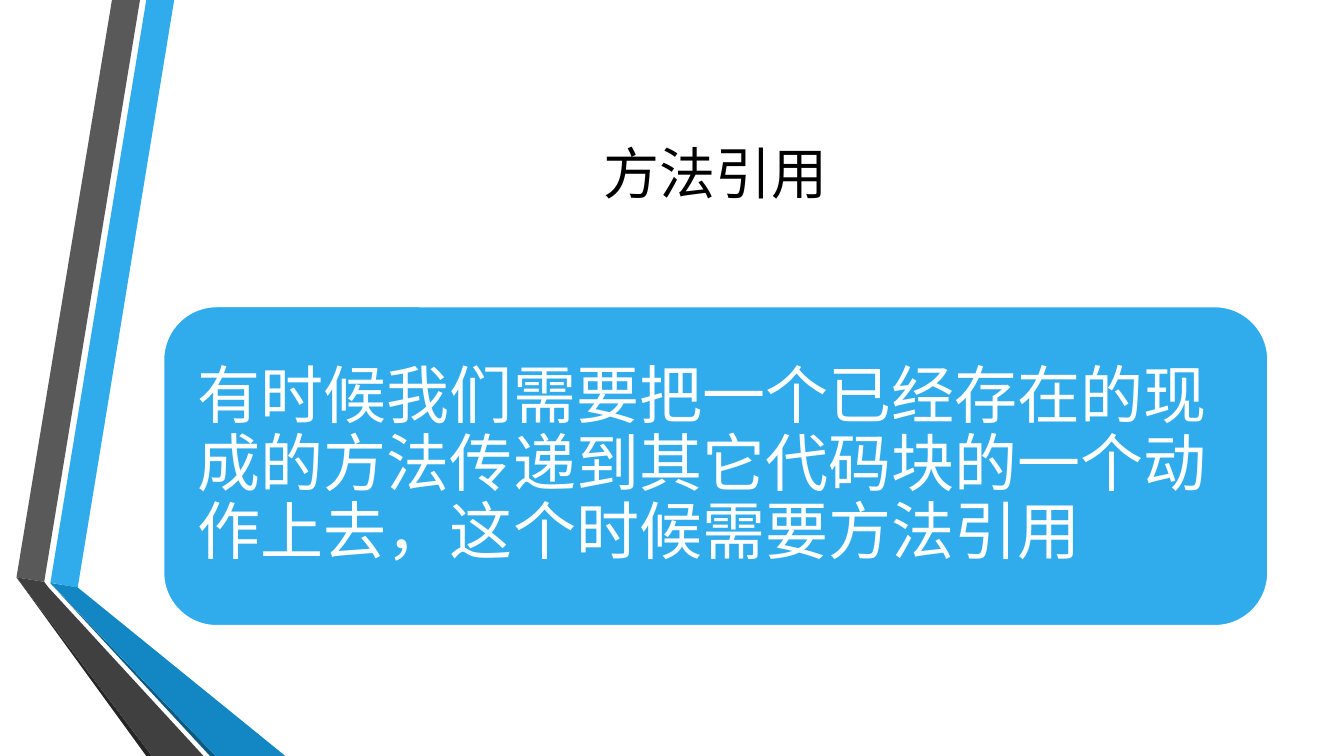
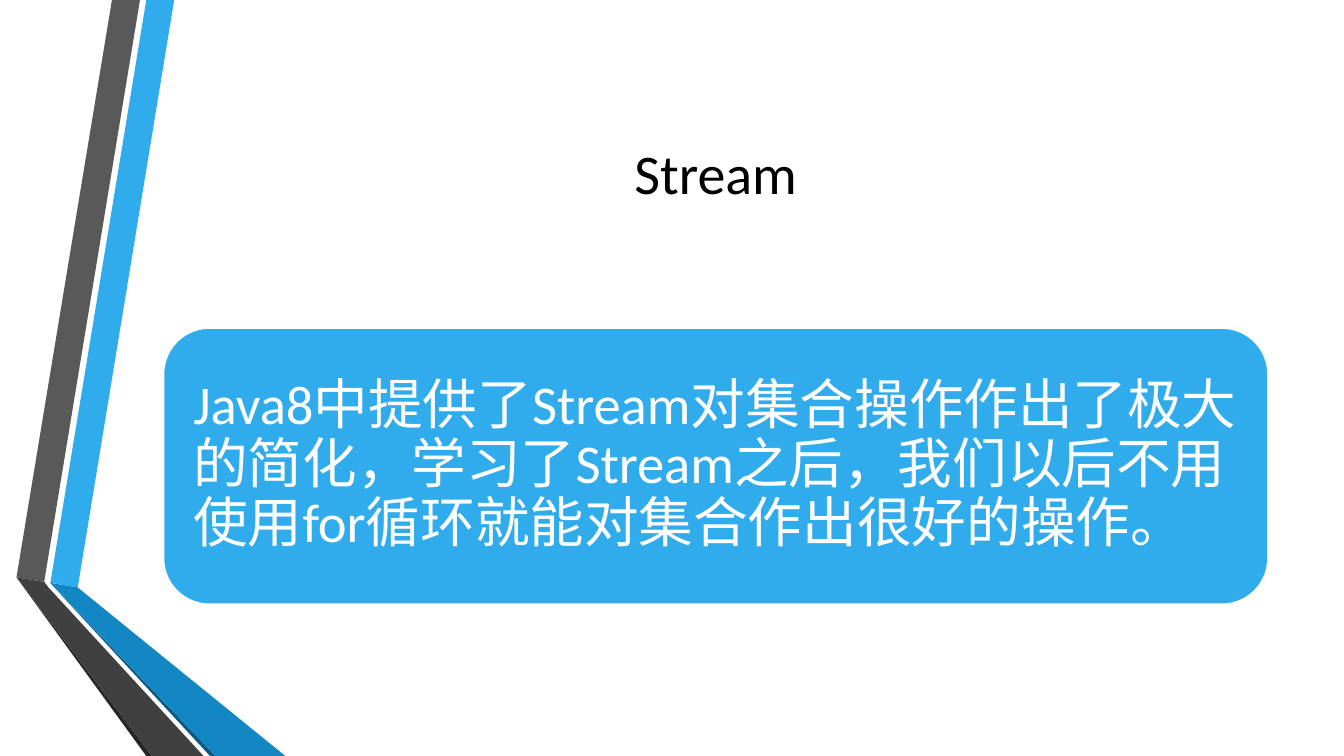
from dataclasses import dataclass

from pptx import Presentation
from pptx.dml.color import RGBColor
from pptx.enum.lang import MSO_LANGUAGE_ID as Lang
from pptx.enum.shapes import MSO_SHAPE as Preset
from pptx.enum.text import MSO_ANCHOR as Anchor, PP_ALIGN as Align
from pptx.util import Pt

TOPICS = [
    {
        "title": "方法引用",
        "statement": "有时候我们需要把一个已经存在的现成的方法传递到其它代码块的一个动作上去，这个时候需要方法引用",
        "size": 45,
        "height": 228.2,
    },
    {
        "title": "Stream",
        "statement": "Java8中提供了Stream对集合操作作出了极大的简化，学习了Stream之后，我们以后不用使用for循环就能对集合作出很好的操作。",
        "size": 39,
        "height": 197.4,
    },
]


@dataclass(frozen=True)
class Theme:
    font: str = "Calibri"
    title_size: int = 40
    black: str = "000000"
    white: str = "FFFFFF"
    blue: str = "30ACEC"
    blue_mid: str = "1287C3"
    blue_dark: str = "0C5A82"
    gray: str = "595959"
    gray_mid: str = "404040"
    gray_dark: str = "262626"


THEME = Theme()
WIDTH, HEIGHT = 960, 540
LEFT, CONTENT_WIDTH = 116.8, 789
TITLE_TOP, TITLE_HEIGHT = 54, 138
PANEL_MIDDLE = 333
INSET_RATIO = 0.3

RIBBONS = [
    (THEME.blue, [(36, 416.2), (55.5, 419.6), (124.4, 0), (104.5, 0)]),
    (THEME.gray, [(100, 0), (80, 0), (11.8, 412.4), (31.6, 415.6)]),
    (THEME.gray_dark, [(11.8, 412.4), (104.5, HEIGHT), (108.6, HEIGHT)]),
    (THEME.blue_dark, [(36, 416.6), (150, HEIGHT), (154, HEIGHT)]),
    (THEME.blue_mid, [(36, 416.4), (154, HEIGHT), (203.8, HEIGHT), (55.5, 419.6)]),
    (THEME.gray_mid, [(11.8, 412.4), (108.6, HEIGHT), (145.4, HEIGHT),
                      (34.6, 419.6), (31.6, 415.6)]),
]


def color(value):
    return RGBColor.from_string(value)


def paint(shape, fill, line=None):
    shape.shadow.inherit = False
    shape.fill.solid()
    shape.fill.fore_color.rgb = color(fill)
    if line:
        shape.line.color.rgb = color(line)
        shape.line.width = Pt(1.25)
    else:
        shape.line.fill.background()


def write(shape, text, *, size, ink, align=Align.LEFT, spacing=1.0, inset=7.2):
    frame = shape.text_frame
    frame.word_wrap = True
    frame.vertical_anchor = Anchor.MIDDLE
    frame.margin_left = frame.margin_right = Pt(inset)
    frame.margin_top = frame.margin_bottom = Pt(inset)
    paragraph = frame.paragraphs[0]
    paragraph.alignment = align
    paragraph.line_spacing = spacing
    run = paragraph.add_run()
    run.text = text
    run.font.name = THEME.font
    run.font.size = Pt(size)
    run.font.color.rgb = color(ink)
    run.font.language_id = Lang.SIMPLIFIED_CHINESE


def move_ribbons_to_layout(slide):
    layout_tree = slide.slide_layout.element.cSld.spTree
    for fill, points in RIBBONS:
        start, *rest = [(Pt(x), Pt(y)) for x, y in points]
        outline = slide.shapes.build_freeform(*start)
        outline.add_line_segments(rest, close=True)
        ribbon = outline.convert_to_shape()
        paint(ribbon, fill)
        layout_tree.append(ribbon.element)


def add_topic(slide, topic):
    title = slide.shapes.add_textbox(
        Pt(LEFT), Pt(TITLE_TOP), Pt(CONTENT_WIDTH), Pt(TITLE_HEIGHT))
    write(title, topic["title"], size=THEME.title_size, ink=THEME.black,
          align=Align.CENTER)

    height = topic["height"]
    panel = slide.shapes.add_shape(
        Preset.ROUNDED_RECTANGLE, Pt(LEFT), Pt(PANEL_MIDDLE - height / 2),
        Pt(CONTENT_WIDTH), Pt(height))
    paint(panel, THEME.blue, THEME.white)
    write(panel, topic["statement"], size=topic["size"], ink=THEME.white,
          spacing=0.9, inset=topic["size"] * INSET_RATIO)


def main():
    deck = Presentation()
    deck.slide_width, deck.slide_height = Pt(WIDTH), Pt(HEIGHT)
    blank = deck.slide_layouts[6]
    slides = [deck.slides.add_slide(blank) for _ in TOPICS]
    move_ribbons_to_layout(slides[0])
    for slide, topic in zip(slides, TOPICS):
        add_topic(slide, topic)
    deck.save("out.pptx")


if __name__ == "__main__":
    main()
